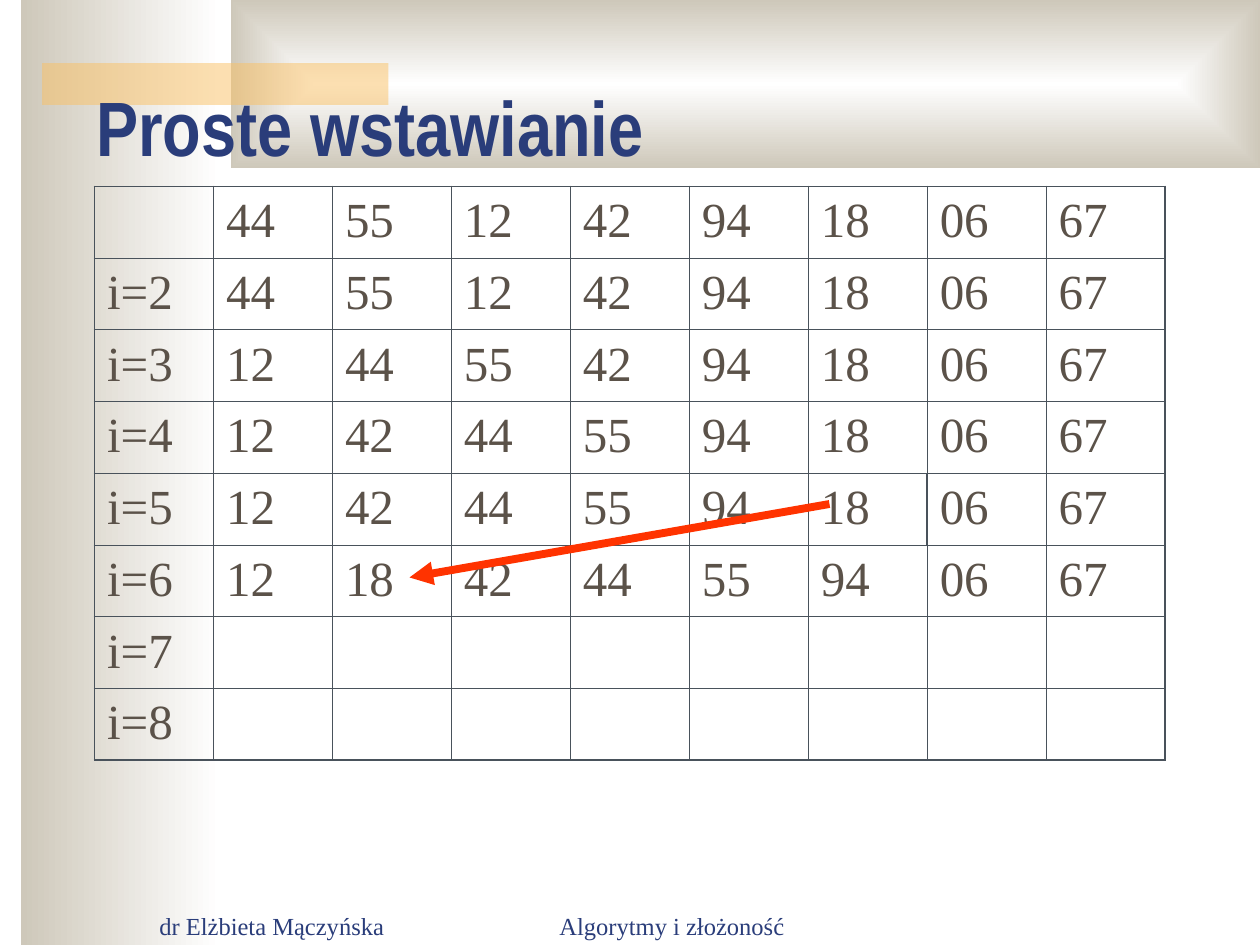
from lxml.etree import SubElement
from pptx import Presentation
from pptx.dml.color import RGBColor
from pptx.enum.shapes import MSO_CONNECTOR as Connector, MSO_SHAPE as Shape
from pptx.enum.text import MSO_ANCHOR as Anchor, PP_ALIGN as Align
from pptx.oxml.ns import qn
from pptx.util import Pt

COLORS = {"navy": "2A3D7A", "sand": "CEC8BA", "white": "FFFFFF", "amber": "FAC164",
          "ink": "5B5249", "grid": "49525B", "arrow": "FF3300"}
SERIF, NARROW = "Times New Roman", "Arial Narrow"
THIN, OUTER, MARK = 0.45, 1.08, 1.47


def rgb(name):
    return RGBColor.from_string(COLORS[name])


class SortingSlide:
    """Draws the elements of the sorting slide in its house style."""

    def __init__(self, slide):
        self.slide = slide
        self.shapes = slide.shapes

    def style(self, paragraph, font, size, color, bold=False):
        paragraph.font.name = font
        paragraph.font.size = Pt(size)
        paragraph.font.bold = bold
        paragraph.font.color.rgb = rgb(color)

    def panel(self, left, top, width, height):
        panel = self.shapes.add_shape(Shape.RECTANGLE, Pt(left), Pt(top), Pt(width), Pt(height))
        panel.shadow.inherit = False
        panel.line.fill.background()
        return panel

    def gradient(self, panel, start, end, from_center=False):
        panel.fill.gradient()
        panel.fill.gradient_angle = 0
        for stop, color in zip(panel.fill.gradient_stops, (start, end)):
            stop.color.rgb = rgb(color)
        first, last = panel.fill.gradient_stops
        first.position, last.position = 0, 1
        if from_center:
            grad = panel.fill._xPr.find(qn("a:gradFill"))
            grad.remove(grad.find(qn("a:lin")))
            rays = SubElement(grad, qn("a:path"), path="rect")
            SubElement(rays, qn("a:fillToRect"), l="50000", t="50000", r="50000", b="50000")

    def translucent(self, panel, color, percent):
        panel.fill.solid()
        panel.fill.fore_color.rgb = rgb(color)
        tint = panel.fill._xPr.find(qn("a:solidFill")).find(qn("a:srgbClr"))
        SubElement(tint, qn("a:alpha"), val=str(percent * 1000))

    def text(self, words, left, top, width, height, font, size, bold=False, align=Align.LEFT):
        frame = self.shapes.add_textbox(Pt(left), Pt(top), Pt(width), Pt(height)).text_frame
        frame.word_wrap = True
        frame.vertical_anchor = Anchor.BOTTOM
        paragraph = frame.paragraphs[0]
        paragraph.text = words
        paragraph.alignment = align
        self.style(paragraph, font, size, "navy", bold)

    def borders(self, cell, **widths):
        for side in "LRTB":
            line = SubElement(cell._tc.get_or_add_tcPr(), qn(f"a:ln{side}"),
                              w=str(Pt(widths.get(side, THIN))))
            SubElement(SubElement(line, qn("a:solidFill")), qn("a:srgbClr"), val=COLORS["grid"])

    def table(self, rows, left, top, column_width, row_height, marked):
        row_count, column_count = len(rows), len(rows[0])
        table = self.shapes.add_table(row_count, column_count, Pt(left), Pt(top),
                                      Pt(column_width * column_count),
                                      Pt(row_height * row_count)).table
        table.first_row = table.horz_banding = False
        for column in table.columns:
            column.width = Pt(column_width)
        for r, values in enumerate(rows):
            table.rows[r].height = Pt(row_height)
            for c, value in enumerate(values):
                cell = table.cell(r, c)
                edges = {"L": c == 0, "R": c == column_count - 1,
                         "T": r == 0, "B": r == row_count - 1}
                widths = {side: OUTER for side, outer in edges.items() if outer}
                if (r, c) == marked:
                    widths["R"] = MARK
                elif (r, c - 1) == marked:
                    widths["L"] = MARK
                self.borders(cell, **widths)
                cell.fill.background()
                cell.vertical_anchor = Anchor.MIDDLE
                paragraph = cell.text_frame.paragraphs[0]
                paragraph.text = value
                paragraph.line_spacing = 0.95
                paragraph.space_before = Pt(7)
                self.style(paragraph, SERIF, 28, "ink")

    def arrow(self, x1, y1, x2, y2):
        arrow = self.shapes.add_connector(Connector.STRAIGHT, Pt(x1), Pt(y1), Pt(x2), Pt(y2))
        arrow.line.width = Pt(4.5)
        arrow.line.color.rgb = rgb("arrow")
        SubElement(arrow.line._get_or_add_ln(), qn("a:tailEnd"), type="triangle")
        SubElement(arrow._element.spPr, qn("a:effectLst"))


def insertion_steps(numbers, last_step):
    header = [""] + numbers
    sorted_rows = [[f"i={i}"] + sorted(numbers[:i]) + numbers[i:]
                   for i in range(2, last_step + 1)]
    open_rows = [[f"i={i}"] + [""] * len(numbers)
                 for i in range(last_step + 1, len(numbers) + 1)]
    return [header] + sorted_rows + open_rows


def main():
    deck = Presentation()
    deck.slide_width, deck.slide_height = Pt(720), Pt(540)
    page = SortingSlide(deck.slides.add_slide(deck.slide_layouts[6]))

    page.gradient(page.panel(12, 0, 114, 540), "sand", "white")
    page.gradient(page.panel(132, 0, 588, 96), "white", "sand", from_center=True)
    page.translucent(page.panel(24, 36, 198, 24), "amber", 50)

    page.text("dr Elżbieta Mączyńska", 84, 505, 150, 36, SERIF, 14)
    page.text("Algorytmy i złożoność", 270, 505, 228, 36, SERIF, 14, align=Align.CENTER)

    numbers = ["44", "55", "12", "42", "94", "18", "06", "67"]
    page.table(insertion_steps(numbers, 6), 54, 106.5, 68, 41, marked=(4, 6))
    page.arrow(474, 288, 234, 330)
    page.text("Proste wstawianie", 48, 42, 612, 60, NARROW, 44, bold=True)

    deck.save("out.pptx")


if __name__ == "__main__":
    main()
